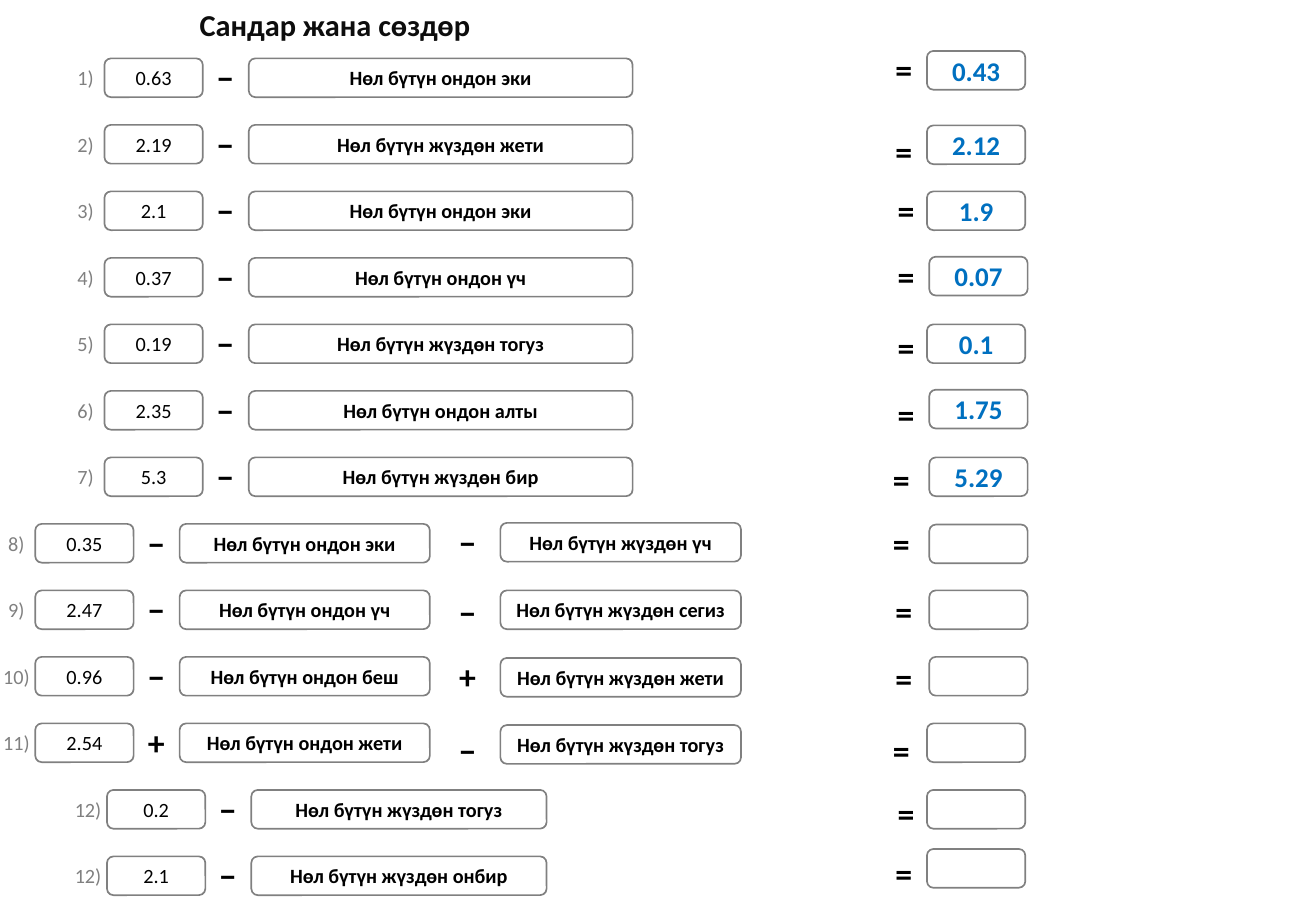
from pptx import Presentation
from pptx.dml.color import RGBColor
from pptx.enum import shapes, text
from pptx.util import Pt

BLACK = RGBColor(0x00, 0x00, 0x00)
TITLE_INK = RGBColor(0x0D, 0x0D, 0x0D)
GREY = RGBColor(0x80, 0x80, 0x80)
BLUE = RGBColor(0x00, 0x70, 0xC0)
FONT = "Calibri"

TITLE = "Сандар жана сөздөр"

# Label, number, then (sign, words) terms, then the answer if it is filled in
EXERCISES = [
    ("1)", "0.63", [("−", "Нөл бүтүн ондон эки")], "0.43"),
    ("2)", "2.19", [("−", "Нөл бүтүн жүздөн жети")], "2.12"),
    ("3)", "2.1", [("−", "Нөл бүтүн ондон эки")], "1.9"),
    ("4)", "0.37", [("−", "Нөл бүтүн ондон үч")], "0.07"),
    ("5)", "0.19", [("−", "Нөл бүтүн жүздөн тогуз")], "0.1"),
    ("6)", "2.35", [("−", "Нөл бүтүн ондон алты")], "1.75"),
    ("7)", "5.3", [("−", "Нөл бүтүн жүздөн бир")], "5.29"),
    ("8)", "0.35", [("−", "Нөл бүтүн ондон эки"), ("−", "Нөл бүтүн жүздөн үч")], ""),
    ("9)", "2.47", [("−", "Нөл бүтүн ондон үч"), ("−", "Нөл бүтүн жүздөн сегиз")], ""),
    ("10)", "0.96", [("−", "Нөл бүтүн ондон беш"), ("+", "Нөл бүтүн жүздөн жети")], ""),
    ("11)", "2.54", [("+", "Нөл бүтүн ондон жети"), ("−", "Нөл бүтүн жүздөн тогуз")], ""),
    ("12)", "0.2", [("−", "Нөл бүтүн жүздөн тогуз")], ""),
    ("12)", "2.1", [("−", "Нөл бүтүн жүздөн онбир")], ""),
]

# Hand-placed parts: (equals x, equals shift down, answer x, answer shift down)
RESULTS = [
    (535.7, -5, 549.4, -4.4), (535.7, 4.3, 549.4, 0.3), (537.1, 0, 549.4, 0),
    (537.1, -0.7, 550.8, -0.7), (537.1, 2.2, 549.4, 0), (537.1, 2.2, 550.8, -0.7),
    (534.2, 1.4, 550.8, 0), (534.2, 0, 550.8, 0.4), (535.7, 0.7, 550.8, 0),
    (535.7, 1.4, 550.8, 0), (534.2, 4.3, 549.4, 0), (537.1, 2.2, 549.4, 0),
    (535.7, -1.4, 549.4, -4.4),
]
# Shifts down of the second sign and second words box, by row index
SECOND_SHIFTS = {7: (-0.7, -0.6), 8: (1.4, 0), 9: (0, 0.6), 10: (4.3, 1)}

# Rows up to this index share a left edge and a words-box width
BLOCKS = [(6, 61.9, 227.5), (10, 20.9, 148.3), (12, 63.4, 175)]

FIRST_CENTRE, PITCH = 46.1, 39.42
BOX_HEIGHT, NUMBER_WIDTH = 23, 58.3
LABEL_OFFSET, SIGN_OFFSET, WORDS_OFFSET = -11.2, 71.7, 85.6
SECOND_SIGN, SECOND_LEFT, SECOND_WIDTH = 277.2, 296.6, 142.6


def write(frame, words, size, colour, bold):
    para = frame.paragraphs[0]
    para.text = words
    para.alignment = text.PP_ALIGN.CENTER
    font = para.font
    font.name, font.size, font.bold = FONT, Pt(size), bold
    font.color.rgb = colour


def add_box(slide, left, centre, width, words, size=12, colour=BLACK, bold=True):
    box = slide.shapes.add_shape(
        shapes.MSO_SHAPE.ROUNDED_RECTANGLE,
        Pt(left), Pt(centre - BOX_HEIGHT / 2), Pt(width), Pt(BOX_HEIGHT))
    box.shadow.inherit = False
    box.fill.background()
    box.line.color.rgb = GREY
    box.line.width = Pt(1)
    frame = box.text_frame
    frame.margin_left = frame.margin_right = 0
    frame.margin_top = frame.margin_bottom = 0
    frame.vertical_anchor = text.MSO_ANCHOR.MIDDLE
    if words:
        write(frame, words, size, colour, bold)


def add_mark(slide, middle, centre, words, size=20, colour=BLACK, bold=True,
             width=24.5, height=31.5):
    """Add a sign or row label centred on a point."""
    box = slide.shapes.add_textbox(
        Pt(middle - width / 2), Pt(centre - height / 2), Pt(width), Pt(height))
    box.text_frame.word_wrap = False
    box.text_frame.auto_size = text.MSO_AUTO_SIZE.SHAPE_TO_FIT_TEXT
    write(box.text_frame, words, size, colour, bold)


def add_exercise(slide, index):
    label, number, terms, answer = EXERCISES[index]
    equals_x, equals_shift, answer_x, answer_shift = RESULTS[index]
    left, words_width = next(block[1:] for block in BLOCKS if index <= block[0])
    centre = FIRST_CENTRE + index * PITCH

    label_width = 24.5 if len(label) == 2 else 30.2
    add_mark(slide, left + LABEL_OFFSET, centre, label, 12, GREY, False, label_width, 21.8)
    add_box(slide, left, centre, NUMBER_WIDTH, number, bold=False)
    places = [(left + SIGN_OFFSET, left + WORDS_OFFSET, words_width, (0, 0)),
              (SECOND_SIGN, SECOND_LEFT, SECOND_WIDTH, SECOND_SHIFTS.get(index))]
    for (sign, words), (sign_x, words_x, width, shifts) in zip(terms, places):
        add_mark(slide, sign_x, centre + shifts[0], sign)
        add_box(slide, words_x, centre + shifts[1], width, words)
    add_mark(slide, equals_x, centre + equals_shift, "=")
    add_box(slide, answer_x, centre + answer_shift, NUMBER_WIDTH, answer, 16, BLUE)


def main():
    deck = Presentation()
    deck.slide_width, deck.slide_height = Pt(780), Pt(540)
    slide = deck.slides.add_slide(deck.slide_layouts.get_by_name("Title Only"))

    title = slide.shapes.title
    title.left, title.top, title.width, title.height = Pt(103), Pt(0), Pt(191), Pt(29)
    title.text_frame.word_wrap = False
    title.text_frame.auto_size = text.MSO_AUTO_SIZE.SHAPE_TO_FIT_TEXT
    title.text_frame.vertical_anchor = text.MSO_ANCHOR.TOP
    write(title.text_frame, TITLE, 18, TITLE_INK, True)

    for index in range(len(EXERCISES)):
        add_exercise(slide, index)
    deck.save("out.pptx")


if __name__ == "__main__":
    main()
